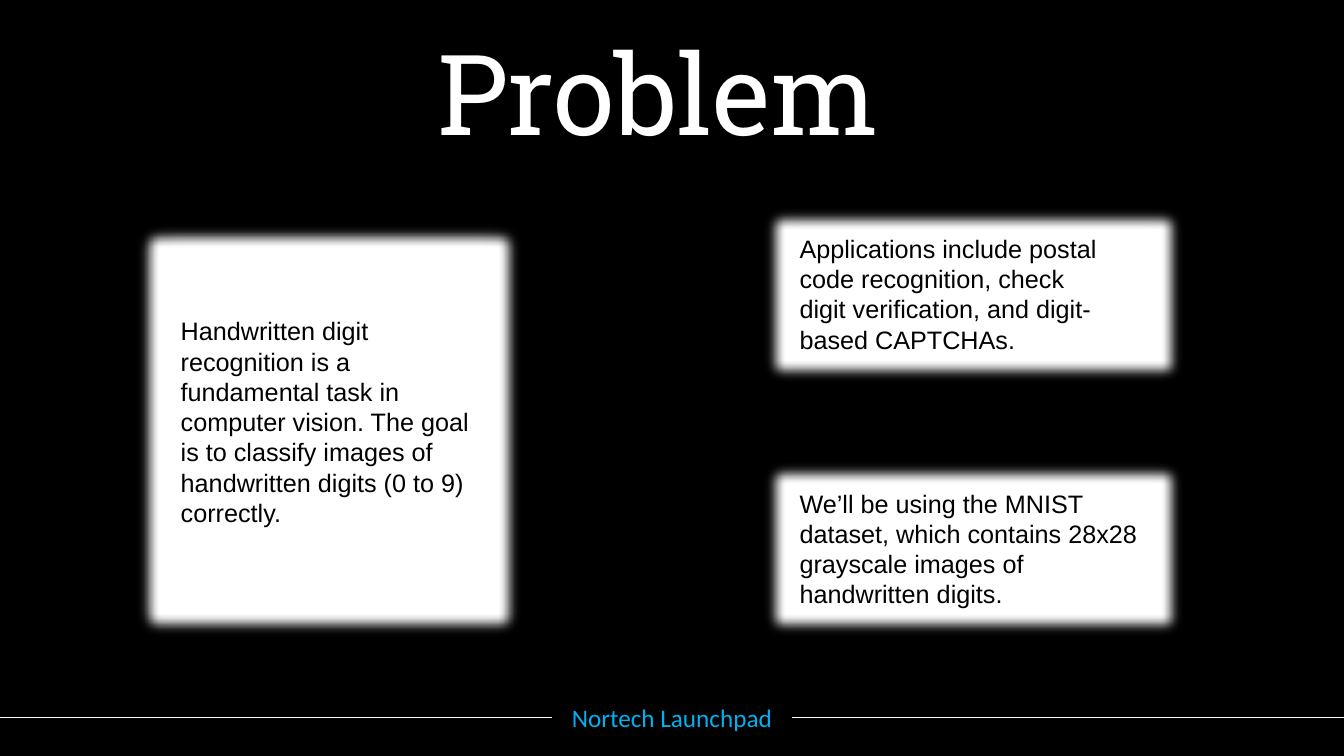
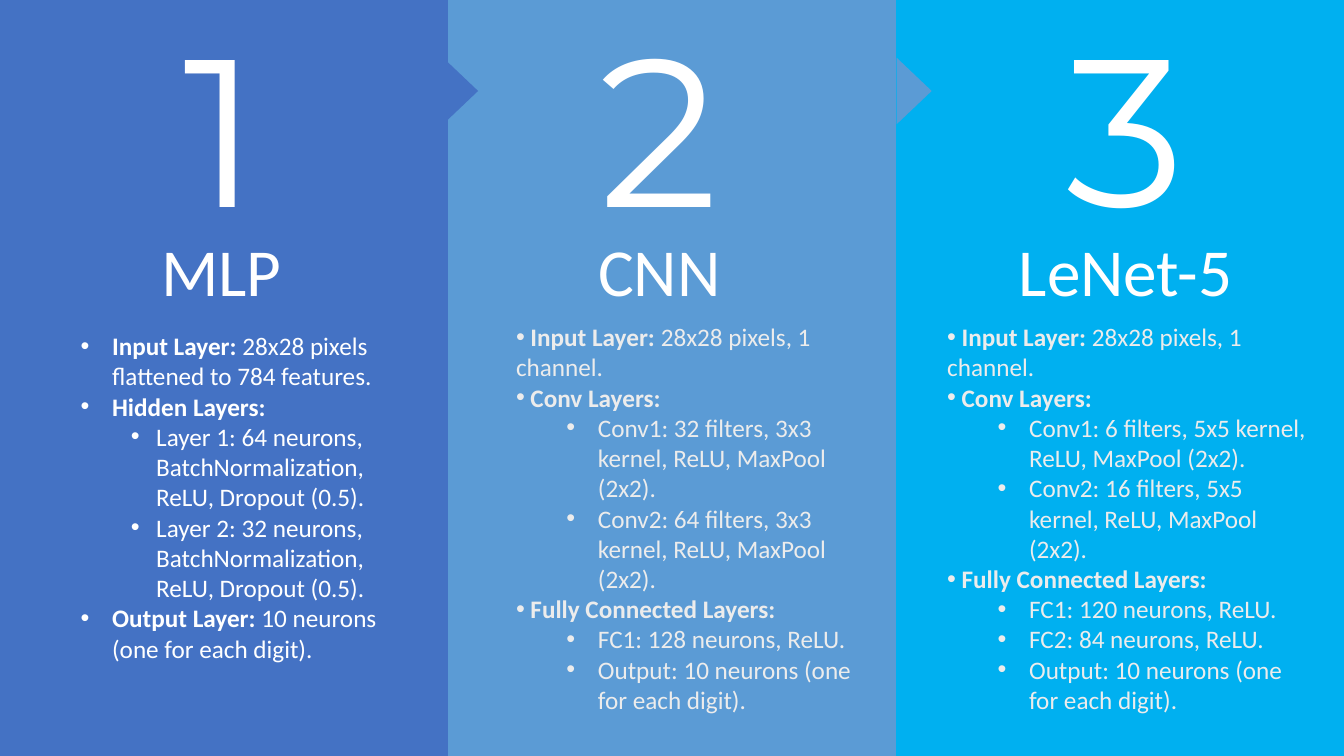
from dataclasses import dataclass

from lxml import etree
from pptx import Presentation
from pptx.dml.color import RGBColor
from pptx.enum.shapes import MSO_CONNECTOR, MSO_SHAPE
from pptx.enum.text import MSO_ANCHOR, MSO_AUTO_SIZE, PP_ALIGN
from pptx.oxml.ns import qn
from pptx.util import Pt

RECTANGLE = MSO_SHAPE.RECTANGLE
TRIANGLE = MSO_SHAPE.ISOSCELES_TRIANGLE
STRAIGHT = MSO_CONNECTOR.STRAIGHT
TOP = MSO_ANCHOR.TOP
NO_AUTOFIT = MSO_AUTO_SIZE.NONE
LEFT, CENTER = PP_ALIGN.LEFT, PP_ALIGN.CENTER
TITLE_ONLY, BLANK = 5, 6
SLIDE_WIDTH, SLIDE_HEIGHT = 960, 540


@dataclass(frozen=True)
class Theme:
    black: str = "000000"
    white: str = "FFFFFF"
    pale: str = "ECECEC"
    indigo: str = "4472C4"
    blue: str = "5B9BD5"
    cyan: str = "00B0F0"
    title_font: str = "Roboto Slab"
    number_font: str = "Montserrat"
    card_font: str = "Arial"
    body_font: str = "Calibri"
    title_size: int = 80
    number_size: int = 150
    heading_size: int = 48
    body_size: int = 18


THEME = Theme()

# Left margin and first-line indent for each bullet level
BULLET_INDENTS = [(0, 0), (58.5, -22.5), (90, -18)]

# Card left, top, width, height; text left, top, width; text
CARDS = [
    ((94, 157, 282, 301), (122, 222, 226),
     "Handwritten digit recognition is a fundamental task in computer vision. "
     "The goal is to classify images of handwritten digits (0 to 9) correctly."),
    ((542, 145, 307, 132), (564, 163, 237),
     "Applications include postal code recognition, check digit verification, "
     "and digit-based CAPTCHAs."),
    ((542, 326, 307, 132), (564, 345, 264),
     "We’ll be using the MNIST dataset, which contains 28x28 grayscale images "
     "of handwritten digits."),
]


@dataclass(frozen=True)
class Model:
    name: str
    fill: str
    center: float
    arrow_center: float | None
    text_box: tuple
    text_color: str
    bullets: list  # level, bold part, plain part


MODELS = [
    Model("MLP", THEME.indigo, 158, 329, (14.5, 232.5, 263), THEME.white, [
        (1, "Input Layer:", " 28x28 pixels flattened to 784 features."),
        (1, "Hidden Layers:", ""),
        (2, "", "Layer 1: 64 neurons, BatchNormalization, ReLU, Dropout (0.5)."),
        (2, "", "Layer 2: 32 neurons, BatchNormalization, ReLU, Dropout (0.5)."),
        (1, "Output Layer:", " 10 neurons (one for each digit)."),
    ]),
    Model("CNN", THEME.blue, 471, 653, (361.5, 226, 264), THEME.pale, [
        (0, " Input Layer:", " 28x28 pixels, 1 channel."),
        (0, " Conv Layers:", ""),
        (1, "", "Conv1: 32 filters, 3x3 kernel, ReLU, MaxPool (2x2)."),
        (1, "", "Conv2: 64 filters, 3x3 kernel, ReLU, MaxPool (2x2)."),
        (0, " Fully Connected Layers:", ""),
        (1, "", "FC1: 128 neurons, ReLU."),
        (1, "", "Output: 10 neurons (one for each digit)."),
    ]),
    Model("LeNet-5", THEME.cyan, 804, None, (669.5, 226, 273), THEME.pale, [
        (0, " Input Layer:", " 28x28 pixels, 1 channel."),
        (0, " Conv Layers:", ""),
        (1, "", "Conv1: 6 filters, 5x5 kernel, ReLU, MaxPool (2x2)."),
        (1, "", "Conv2: 16 filters, 5x5 kernel, ReLU, MaxPool (2x2)."),
        (0, " Fully Connected Layers:", ""),
        (1, "", "FC1: 120 neurons, ReLU."),
        (1, "", "FC2: 84 neurons, ReLU."),
        (1, "", "Output: 10 neurons (one for each digit)."),
    ]),
]


def color(value):
    return RGBColor.from_string(value)


def points(*lengths):
    return [Pt(length) for length in lengths]


def write(paragraph, text, *, size=THEME.body_size, font=THEME.body_font,
          fill=THEME.white, bold=False, align=LEFT):
    """Append one formatted run to a paragraph."""
    paragraph.alignment = align
    run = paragraph.add_run()
    run.text = text
    run.font.size = Pt(size)
    run.font.name = font
    run.font.bold = bold
    run.font.color.rgb = color(fill)


def add_bullet(paragraph, level):
    margin, indent = BULLET_INDENTS[level]
    paragraph.level = level
    properties = paragraph._p.get_or_add_pPr()
    properties.set("marL", str(Pt(margin)))
    properties.set("indent", str(Pt(indent)))
    etree.SubElement(properties, qn("a:buFont")).set("typeface", THEME.card_font)
    etree.SubElement(properties, qn("a:buChar")).set("char", "•")


class Deck:
    def __init__(self):
        self.presentation = Presentation()
        self.presentation.slide_width = Pt(SLIDE_WIDTH)
        self.presentation.slide_height = Pt(SLIDE_HEIGHT)
        self.slide = None

    def new_slide(self, layout, background):
        layouts = self.presentation.slide_layouts
        self.slide = self.presentation.slides.add_slide(layouts[layout])
        fill = self.slide.background.fill
        fill.solid()
        fill.fore_color.rgb = color(background)

    def title(self, text, left, top, width, height):
        title = self.slide.shapes.title
        title.left, title.top, title.width, title.height = points(
            left, top, width, height)
        frame = title.text_frame
        frame.auto_size = NO_AUTOFIT
        frame.vertical_anchor = TOP
        write(frame.paragraphs[0], text, size=THEME.title_size,
              font=THEME.title_font)

    def box(self, left, top, width, height):
        """Add an empty wrapping text box and return its frame."""
        frame = self.slide.shapes.add_textbox(
            *points(left, top, width, height)).text_frame
        frame.word_wrap = True
        return frame

    def text(self, text, left, top, width, height, **style):
        write(self.box(left, top, width, height).paragraphs[0], text, **style)

    def bullets(self, items, left, top, width, fill):
        frame = self.box(left, top, width, SLIDE_HEIGHT - top)
        for index, (level, bold_part, plain_part) in enumerate(items):
            paragraph = frame.add_paragraph() if index else frame.paragraphs[0]
            add_bullet(paragraph, level)
            for part, bold in ((bold_part, True), (plain_part, False)):
                if part:
                    write(paragraph, part, fill=fill, bold=bold)

    def shape(self, kind, left, top, width, height, fill, rotation=0, soft_edge=0):
        shape = self.slide.shapes.add_shape(kind, *points(left, top, width, height))
        shape.rotation = rotation
        shape.shadow.inherit = False
        shape.fill.solid()
        shape.fill.fore_color.rgb = color(fill)
        shape.line.fill.background()
        if soft_edge:
            effects = shape._element.spPr.find(qn("a:effectLst"))
            edge = etree.SubElement(effects, qn("a:softEdge"))
            edge.set("rad", str(Pt(soft_edge)))

    def rule(self, start, end, y):
        line = self.slide.shapes.add_connector(STRAIGHT, *points(start, y, end, y))
        line.line.color.rgb = color(THEME.white)
        line.line.width = Pt(0.5)
        etree.SubElement(line._element.spPr, qn("a:effectLst"))

    def footer(self, text):
        left, right, y = 394, 566, 512.5
        self.rule(0, left, y)
        self.text(text, left, y - 14.5, right - left, 29,
                  fill=THEME.cyan, align=CENTER)
        self.rule(right, SLIDE_WIDTH, y)


def add_problem_slide(deck):
    deck.new_slide(TITLE_ONLY, THEME.black)
    deck.title("Problem", 305, 13, 377, 104)
    for card, (left, top, width), text in CARDS:
        deck.shape(RECTANGLE, *card, THEME.white, soft_edge=10)
        deck.text(text, left, top, width, 94, font=THEME.card_font,
                  fill=THEME.black)
    deck.footer("Nortech Launchpad")


def add_models_slide(deck):
    """Draw columns from right to left, so each arrow overlaps the next one."""
    deck.new_slide(BLANK, THEME.white)
    column_width = SLIDE_WIDTH / len(MODELS)
    label_width = 190
    arrow_width, arrow_height = 47.5, 25
    for index, model in reversed(list(enumerate(MODELS))):
        deck.shape(RECTANGLE, index * column_width, 0, column_width,
                   SLIDE_HEIGHT, model.fill)
        if model.arrow_center:
            deck.shape(TRIANGLE, model.arrow_center - arrow_width / 2, 52.5,
                       arrow_width, arrow_height, model.fill, rotation=90)
        label_left = model.center - label_width / 2
        deck.text(str(index + 1), label_left, -5.5, label_width, 189,
                  size=THEME.number_size, font=THEME.number_font, align=CENTER)
        deck.text(model.name, label_left, 160.5, label_width, 65.5,
                  size=THEME.heading_size, align=CENTER)
        deck.bullets(model.bullets, *model.text_box, model.text_color)


def main():
    deck = Deck()
    add_problem_slide(deck)
    add_models_slide(deck)
    deck.presentation.save("out.pptx")


if __name__ == "__main__":
    main()
